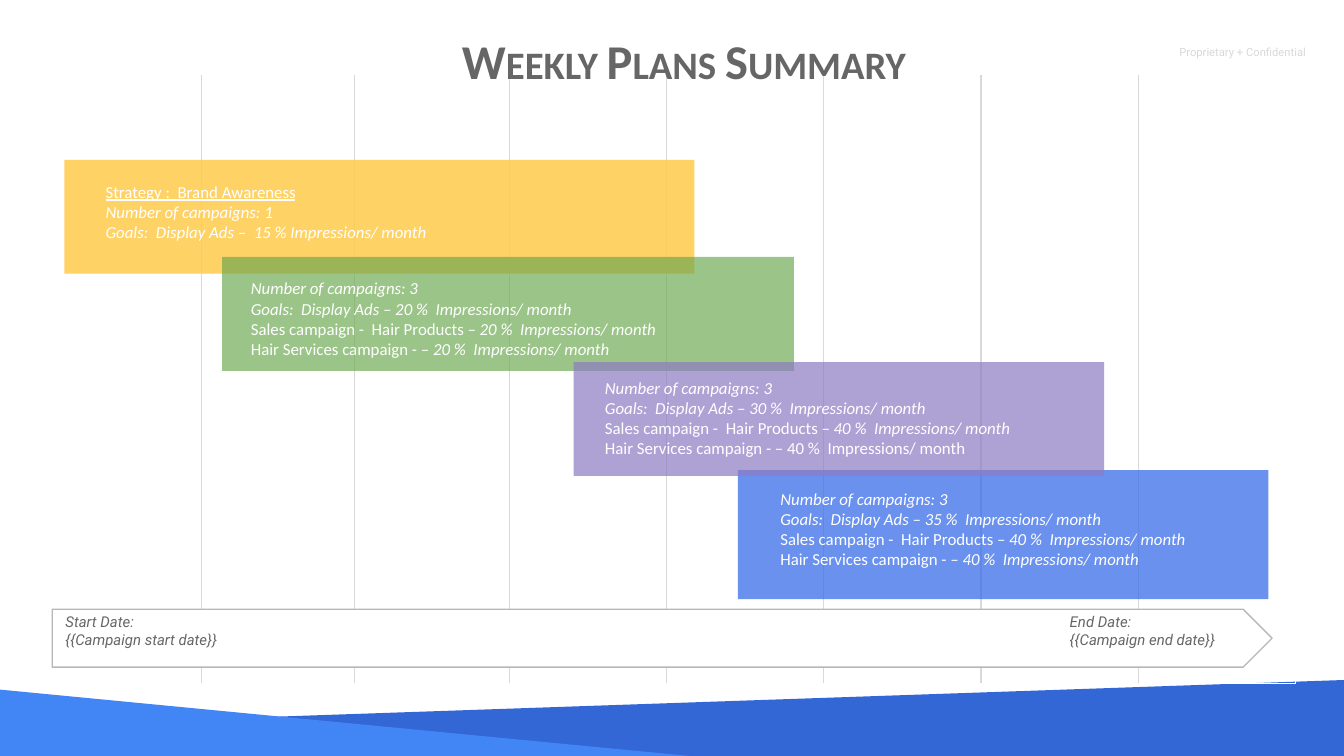
from lxml.etree import SubElement
from pptx import Presentation
from pptx.dml.color import RGBColor
from pptx.enum.shapes import MSO_SHAPE
from pptx.enum.text import MSO_ANCHOR, MSO_AUTO_SIZE, PP_ALIGN
from pptx.oxml import parse_xml
from pptx.oxml.ns import nsdecls, qn
from pptx.util import Pt

WHITE, GREY, GRID, OUTLINE = "FFFFFF", "666666", "D9D9D9", "B7B7B7"
ITALIC, PLAIN, UNDERLINED = "italic", "plain", "underlined"


def campaign_text(goal, product_share, service_share, service_style=ITALIC):
    """Paragraphs of (text, style) runs for a plan with three campaigns."""
    return [
        [("Number of campaigns: 3", ITALIC)],
        [(f"Goals:  Display Ads – {goal} %  Impressions/ month\n", ITALIC),
         ("Sales campaign -  Hair Products ", PLAIN),
         (f"– {product_share} %  Impressions/ month\n", ITALIC),
         ("Hair Services campaign - ", PLAIN),
         (f"– {service_share} %  Impressions/ month", service_style)],
    ]


TITLE = "Weekly Plans Summary"
LABEL = [[("Proprietary + Confidential", PLAIN)]]
AWARENESS_TEXT = [
    [("Strategy :  Brand Awareness", UNDERLINED)],
    [("Number of campaigns: 1", ITALIC)],
    [("Goals:  Display Ads –  15 % Impressions/ month", ITALIC)],
]
# card box, colour, opacity in percent, text box, paragraphs
PLANS = [
    ((34.5, 85.7, 337.5, 61), "FFCC50", 87, (49.5, 90, 322.5, 39), AWARENESS_TEXT),
    ((119, 137.7, 306.3, 61), "6AA84F", 67, (127.3, 141.8, 284.5, 60.5),
     campaign_text(20, 20, 20)),
    ((395.3, 251.8, 284.2, 69.2), "3369E8", 73, (411, 254.5, 284.2, 58.3),
     campaign_text(35, 40, 40)),
    ((307.4, 194, 284.2, 61), "8E7CC3", 71, (317, 195, 269.3, 51),
     campaign_text(30, 40, 40, PLAIN)),
]
DATES = [
    ((28, 321, 102, 21), "Start Date: \n{{Campaign start date}}"),
    ((566, 321, 98, 21), "End Date: \n{{Campaign end date}}"),
]
BANDS = [
    ("3367D6", [(721.5, 407.5), (720.5, 364.3), (1.5, 389), (2, 405.5)]),
    ("4285F4", [(374.5, 405.5), (-1.5, 369.3), (-1.5, 406)]),
]
GRID_LEFT, GRID_TOP = 20, 40.3
GRID_COLUMNS = [88, 82, 83] + [84.2] * 5
GRID_ROWS = [291, 35]


def rgb(hex_colour):
    return RGBColor.from_string(hex_colour)


def points(values):
    return [Pt(value) for value in values]


def paint(shape, colour, opacity=100, outline=None):
    shape.shadow.inherit = False
    shape.fill.solid()
    shape.fill.fore_color.rgb = rgb(colour)
    if opacity < 100:
        colour_element = shape.fill._xPr.find(".//" + qn("a:srgbClr"))
        SubElement(colour_element, qn("a:alpha"), val=str(opacity * 1000))
    if outline:
        shape.line.color.rgb = rgb(outline)
        shape.line.width = Pt(0.75)
    else:
        shape.line.fill.background()


def set_frame(frame):
    frame.word_wrap = True
    frame.auto_size = MSO_AUTO_SIZE.NONE
    frame.vertical_anchor = MSO_ANCHOR.TOP
    frame.margin_left = frame.margin_right = Pt(7.2)
    frame.margin_top = frame.margin_bottom = Pt(7.2)


def add_text(slide, box, paragraphs, font_name, size, colour):
    frame = slide.shapes.add_textbox(*points(box)).text_frame
    set_frame(frame)
    for index, runs in enumerate(paragraphs):
        paragraph = frame.add_paragraph() if index else frame.paragraphs[0]
        for text, style in runs:
            for position, line in enumerate(text.split("\n")):
                if position:
                    paragraph.add_line_break()
                if not line:
                    continue
                run = paragraph.add_run()
                run.text = line
                run.font.name, run.font.size = font_name, Pt(size)
                run.font.color.rgb = rgb(colour)
                run.font.italic = style == ITALIC
                run.font.underline = style == UNDERLINED


def set_borders(cell, colours):
    """Clear the cell and colour its left, right, top and bottom borders."""
    cell.fill.background()
    properties = cell._tc.get_or_add_tcPr()
    for index, (side, colour) in enumerate(zip("LRTB", colours)):
        properties.insert(index, parse_xml(
            f'<a:ln{side} {nsdecls("a")} w="9525"><a:solidFill>'
            f'<a:srgbClr val="{colour}"/></a:solidFill></a:ln{side}>'))


def add_week_grid(slide):
    box = GRID_LEFT, GRID_TOP, sum(GRID_COLUMNS), sum(GRID_ROWS)
    table = slide.shapes.add_table(
        len(GRID_ROWS), len(GRID_COLUMNS), *points(box)).table
    table.first_row = table.horz_banding = False
    for column, width in zip(table.columns, GRID_COLUMNS):
        column.width = Pt(width)
    last = len(GRID_COLUMNS) - 1
    for row, height in zip(table.rows, GRID_ROWS):
        row.height = Pt(height)
        for index, cell in enumerate(row.cells):
            left = WHITE if index == 0 else GRID
            right = WHITE if index == last else GRID
            set_borders(cell, (left, right, WHITE, WHITE))


def add_title(slide):
    title = slide.shapes.title
    title.left, title.top, title.width, title.height = points((213, 9.4, 306.7, 59.8))
    set_frame(title.text_frame)
    paragraph = title.text_frame.paragraphs[0]
    paragraph.alignment = PP_ALIGN.CENTER
    run = paragraph.add_run()
    run.text = TITLE
    run.font.name, run.font.size, run.font.bold = "Calibri", Pt(26), True
    run.font.color.rgb = rgb(GREY)
    run._r.get_or_add_rPr().set("cap", "small")
    slide.shapes._spTree.append(title._element)  # in front of the grid


def main():
    presentation = Presentation()
    presentation.slide_width, presentation.slide_height = Pt(720), Pt(405)
    slide = presentation.slides.add_slide(presentation.slide_layouts[5])

    for colour, corners in BANDS:
        start, *others = [points(corner) for corner in corners]
        builder = slide.shapes.build_freeform(*start)
        builder.add_line_segments(others, close=True)
        paint(builder.convert_to_shape(), colour)

    add_text(slide, (624.7, 17.3, 95, 24), LABEL, "Roboto", 6, GRID)
    add_week_grid(slide)
    timeline = slide.shapes.add_shape(
        MSO_SHAPE.PENTAGON, *points((28, 326.4, 653.5, 31)))
    paint(timeline, WHITE, outline=OUTLINE)

    for card_box, colour, opacity, text_box, paragraphs in PLANS:
        card = slide.shapes.add_shape(MSO_SHAPE.RECTANGLE, *points(card_box))
        paint(card, colour, opacity)
        add_text(slide, text_box, paragraphs, "Calibri", 9, WHITE)
    for box, text in DATES:
        add_text(slide, box, [[(text, ITALIC)]], "Roboto", 8, GREY)

    add_title(slide)
    presentation.save("out.pptx")


if __name__ == "__main__":
    main()
